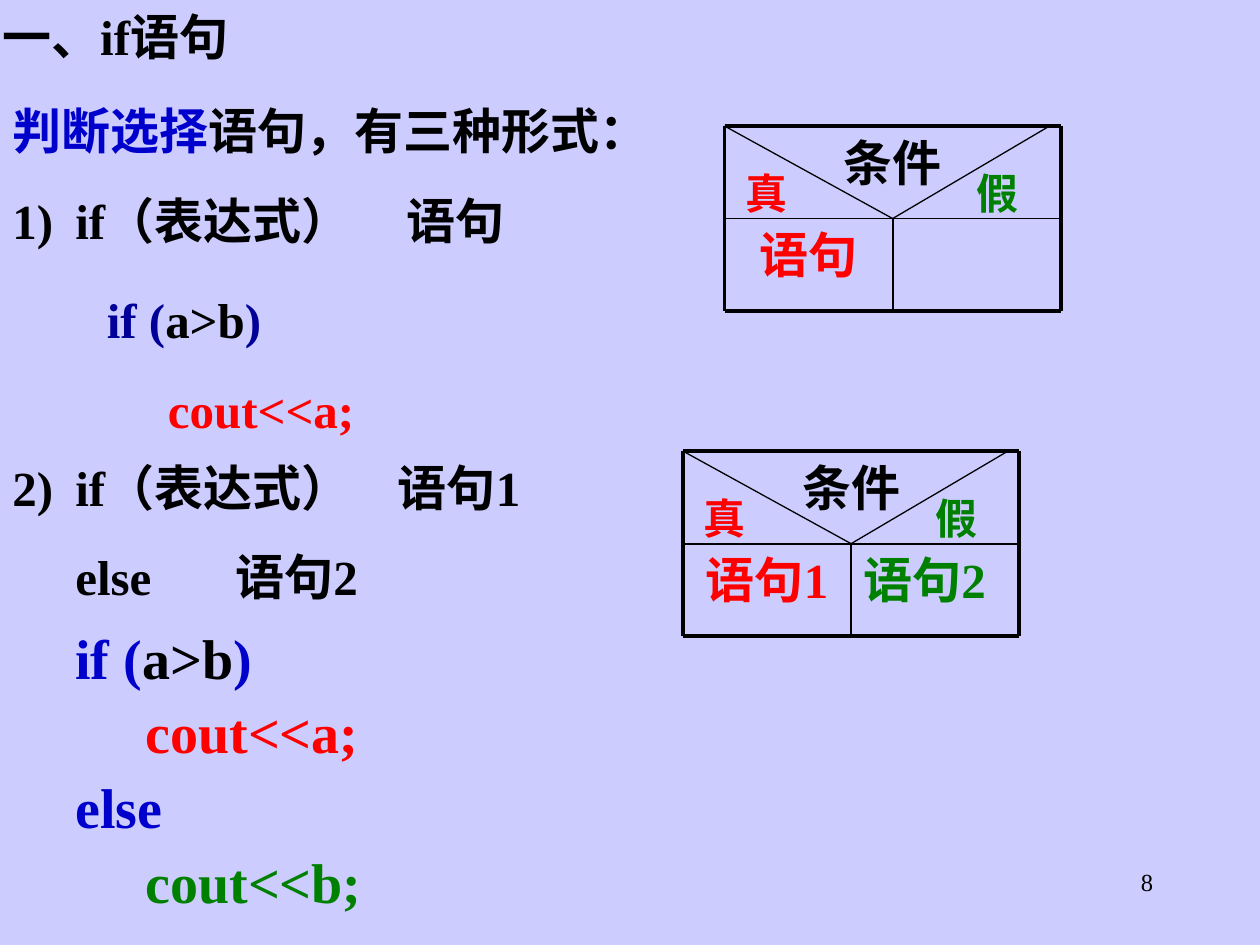
"""Build a slide on the forms of the if statement with two decision diagrams."""
import pptx
import pptx.util
import pptx.dml.color
import pptx.enum.shapes
import pptx.enum.text
import pptx.oxml.ns
from lxml import etree

RGBColor = pptx.dml.color.RGBColor
Inches = pptx.util.Inches
Pt = pptx.util.Pt
ALIGN = pptx.enum.text.PP_ALIGN

BACKGROUND = RGBColor(0xCC, 0xCC, 0xFF)
BLACK = RGBColor(0, 0, 0)
BLUE = RGBColor(0, 0, 0xCC)
NAVY = RGBColor(0, 0, 0x99)
RED = RGBColor(0xFF, 0, 0)
GREEN = RGBColor(0, 0x80, 0)

FONT = "Times New Roman"
NUMBERED_TABS = (2.63, 3.13)
SYNTAX_TABS = (0.5, 3.06)
ELSE_TABS = (0.5, 1.77)

TITLE = [{"runs": [("一、if语句", BLACK)]}]
FIRST_FORM = [
    {"runs": [("判断选择", BLUE), ("语句，有三种形式：", BLACK)]},
    {"runs": [("if（表达式）\t语句", BLACK)], "tabs": NUMBERED_TABS, "numbered": True},
]
SECOND_FORM = [
    {"runs": [("2)\tif（表达式）\t语句1", BLACK)], "tabs": SYNTAX_TABS},
    {"runs": [("\telse\t语句2", BLACK)], "tabs": ELSE_TABS},
]
FIRST_CODE = [
    {"runs": [("if (", NAVY), ("a>b", BLACK), (")", NAVY)]},
    {"runs": [("     cout<<a;", RED)]},
]
SECOND_CODE = [
    {"runs": [("if (", BLUE), ("a>b", BLACK), (")", BLUE)]},
    {"runs": [("     cout<<a;", RED)]},
    {"runs": [("else", BLUE)]},
    {"runs": [("     cout<<b;", GREEN)]},
]
PAGE_NUMBER = [{"runs": [("8", BLACK)]}]

TEXT_BLOCKS = [
    (TITLE, (-0.08, 0, 2.18, 0.57), {"wrap": False}),
    (FIRST_FORM, (0, 0.75, 5.55, 1.28), {}),
    (FIRST_CODE, (0.75, 2.25, 4, 1.28), {}),
    (SECOND_FORM, (0, 3.58, 5.42, 1.28), {}),
    (SECOND_CODE, (0.5, 5, 4.42, 2.31), {"size": 32, "before": 12, "spacing": 0.8}),
    (PAGE_NUMBER, (7.17, 6.83, 2.08, 0.5),
     {"size": 14, "bold": False, "align": ALIGN.RIGHT}),
]

DIAGRAMS = [
    {"at": (5.75, 1), "branches": [("语句", RED, ALIGN.CENTER)]},
    {"at": (5.42, 3.58),
     "branches": [("语句1", RED, ALIGN.CENTER), ("语句2", GREEN, ALIGN.LEFT)]},
]
COLUMN, ROW = 1.335, 0.735
VERDICTS = [("真", RED, 0.08), ("假", GREEN, 1.92)]


def add_marks(paragraph, tabs, numbered):
    properties = paragraph._p.get_or_add_pPr()
    qn = pptx.oxml.ns.qn
    if numbered:
        properties.set("marL", str(Inches(0.5)))
        properties.set("indent", str(-Inches(0.5)))
        etree.SubElement(properties, qn("a:buAutoNum"), type="arabicParenR")
    if tabs:
        stops = etree.SubElement(properties, qn("a:tabLst"))
        for stop in tabs:
            etree.SubElement(stops, qn("a:tab"), pos=str(Inches(stop)), algn="l")


def add_text(shapes, paragraphs, place, size=28, bold=True, align=ALIGN.LEFT,
             before=17.5, spacing=None, wrap=True, inset=True):
    box = shapes.add_textbox(*map(Inches, place))
    frame = box.text_frame
    frame.word_wrap = wrap
    if not inset:
        frame.margin_left = frame.margin_right = 0
        frame.margin_top = frame.margin_bottom = 0
    for number, content in enumerate(paragraphs):
        paragraph = frame.add_paragraph() if number else frame.paragraphs[0]
        add_marks(paragraph, content.get("tabs"), content.get("numbered"))
        paragraph.alignment = align
        if number:
            paragraph.space_before = Pt(before)
        if spacing:
            paragraph.line_spacing = spacing
        for words, color in content["runs"]:
            run = paragraph.add_run()
            run.text = words
            run.font.name = FONT
            run.font.size = Pt(size)
            run.font.bold = bold
            run.font.color.rgb = color
    return box


def add_line(shapes, start, end, width):
    line = shapes.add_connector(
        pptx.enum.shapes.MSO_CONNECTOR.STRAIGHT, *map(Inches, start + end))
    line.line.color.rgb = BLACK
    line.line.width = Pt(width)
    etree.SubElement(line._element.spPr, pptx.oxml.ns.qn("a:effectLst"))
    return line


def add_diagram(slide, at, branches):
    shapes = slide.shapes.add_group_shape().shapes
    left, top = at
    center, right = left + COLUMN, left + 2 * COLUMN
    middle, bottom = top + ROW, top + 2 * ROW

    for column, (words, color, align) in enumerate(branches):
        add_text(shapes, [{"runs": [(words, color)]}],
                 (left + column * COLUMN, middle, COLUMN, ROW), align=align)
    condition = add_text(shapes, [{"runs": [("条件", BLACK)]}],
                         (left, top, 2 * COLUMN, ROW), align=ALIGN.CENTER)

    for y, width in ((top, 2.25), (middle, 1), (bottom, 2.25)):
        add_line(shapes, (left, y), (right, y), width)
    for x in (left, right):
        add_line(shapes, (x, top), (x, bottom), 2.25)
    for end, width in (((center, bottom), 1), ((left, top), 0.75),
                       ((right - 0.09, top), 0.75)):
        spoke = add_line(shapes, (center, middle), end, width)
        spoke.begin_connect(condition, 2)

    for words, color, offset in VERDICTS:
        add_text(shapes, [{"runs": [(words, color)]}],
                 (left + offset, top + 0.33, 0.5, 0.4),
                 size=24, align=ALIGN.CENTER, inset=False)


def main():
    deck = pptx.Presentation()
    deck.slide_width, deck.slide_height = Inches(10), Inches(7.5)
    slide = deck.slides.add_slide(deck.slide_layouts[6])
    slide.background.fill.solid()
    slide.background.fill.fore_color.rgb = BACKGROUND
    for paragraphs, place, style in TEXT_BLOCKS:
        add_text(slide.shapes, paragraphs, place, **style)
    for diagram in DIAGRAMS:
        add_diagram(slide, **diagram)
    deck.save("out.pptx")


if __name__ == "__main__":
    main()
